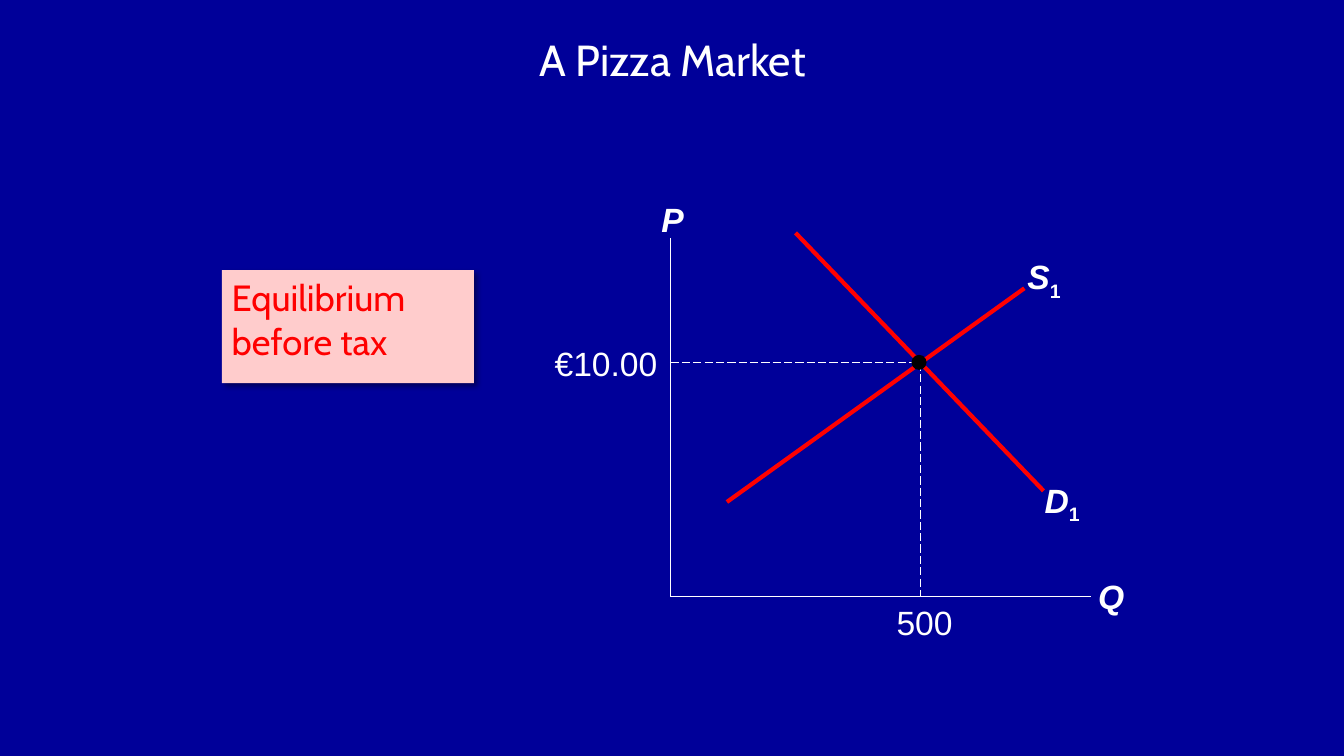
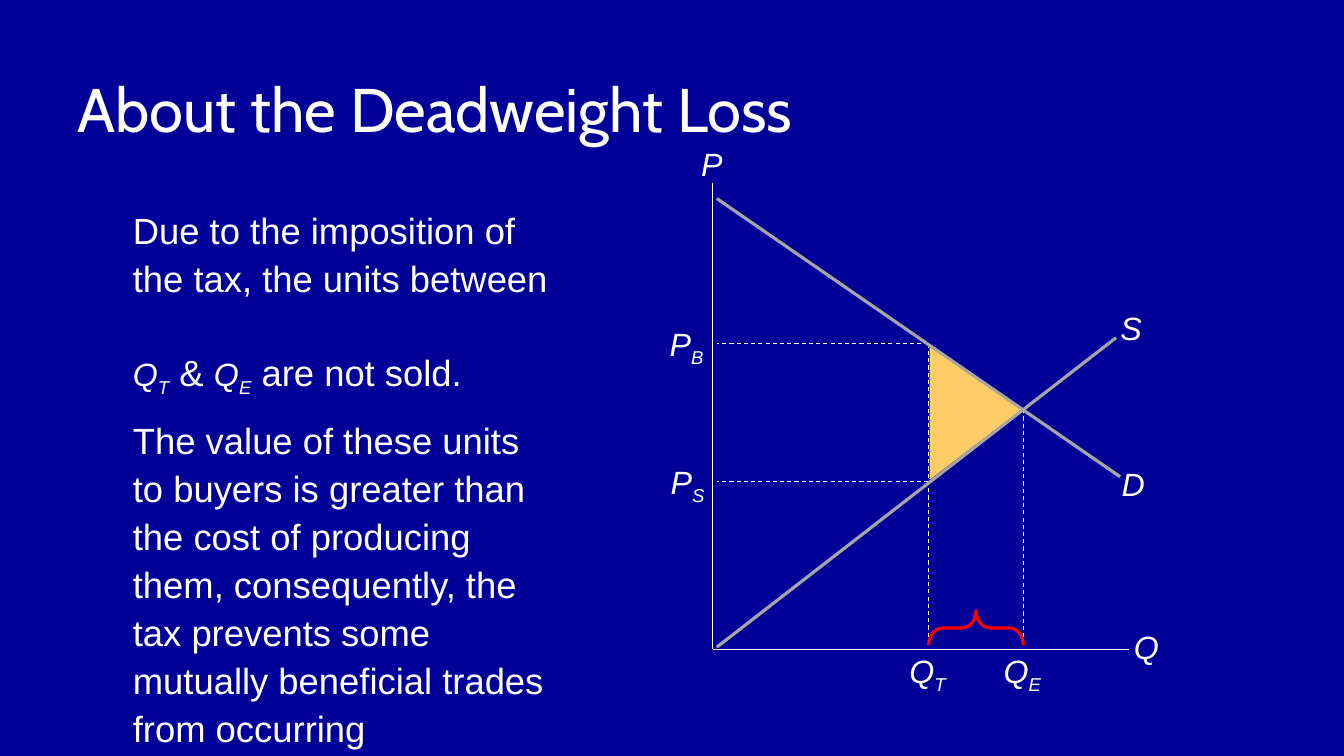
from dataclasses import dataclass

from lxml.etree import SubElement
from pptx import Presentation
from pptx.dml.color import RGBColor as RGB
from pptx.enum.dml import MSO_LINE_DASH_STYLE as DASH
from pptx.enum.shapes import MSO_CONNECTOR as CONN, MSO_SHAPE as SHAPE
from pptx.enum.text import MSO_ANCHOR as ANCHOR, MSO_AUTO_SIZE as FIT, PP_ALIGN as ALIGN
from pptx.oxml.ns import qn
from pptx.util import Inches, Pt


@dataclass(frozen=True)
class Theme:
    navy: str = "000099"
    white: str = "FFFFFF"
    black: str = "000000"
    red: str = "FF0000"
    pink: str = "FFCCCC"
    gray: str = "A6A6A6"
    amber: str = "FFCC66"
    head_font: str = "Cabin"
    body_font: str = "Arial"
    title_small: int = 31
    title_large: int = 44
    body: int = 26
    label_large: int = 24
    label: int = 23


T = Theme()


def text(p, txt, sub="", size=T.body, font=T.body_font, color=T.white,
         bold=False, italic=False, sub_italic=True, align=ALIGN.LEFT):
    p.alignment = align
    for part, slanted, base in ((txt, italic, 0), (sub, sub_italic, -25000)):
        if part:
            r = p.add_run()
            r.text = part
            r.font.name, r.font.size = font, Pt(size)
            r.font.bold, r.font.italic = bold, slanted
            r.font.color.rgb = RGB.from_string(color)
            if base:
                r._r.get_or_add_rPr().set("baseline", str(base))


def line(s, x1, y1, x2, y2, color=T.white, width=0.75, dash=None):
    c = s.shapes.add_connector(CONN.STRAIGHT, Inches(x1), Inches(y1), Inches(x2), Inches(y2))
    c.line.color.rgb = RGB.from_string(color)
    c.line.width = Pt(width)
    if dash:
        c.line.dash_style = dash
    SubElement(c._element.spPr, qn("a:effectLst"))


prs = Presentation()
prs.slide_width, prs.slide_height = Inches(13.33), Inches(7.5)
bg = prs.slide_master.background.fill
bg.solid()
bg.fore_color.rgb = RGB.from_string(T.navy)

titles = [
    ("A Pizza Market", (1.67, 0.23, 10, 0.71), T.title_small, ALIGN.CENTER),
    ("About the Deadweight Loss", (0.67, 0.32, 12, 1.51), T.title_large, ALIGN.LEFT),
]
slides = []
for txt, box, size, align in titles:
    s = prs.slides.add_slide(prs.slide_layouts[5])
    sp = s.shapes.title
    sp.left, sp.top, sp.width, sp.height = map(Inches, box)
    tf = sp.text_frame
    tf.word_wrap, tf.auto_size, tf.vertical_anchor = True, FIT.NONE, ANCHOR.MIDDLE
    text(tf.paragraphs[0], txt, size=size, font=T.head_font, align=align)
    slides.append(s)
pizza, loss = slides

note = pizza.shapes.add_shape(SHAPE.RECTANGLE, Inches(2.2), Inches(2.68), Inches(2.5), Inches(1.12))
note.fill.solid()
note.fill.fore_color.rgb = RGB.from_string(T.pink)
note.line.fill.background()
note.shadow.inherit = False
effects = note._element.spPr.find(qn("a:effectLst"))
shadow = SubElement(effects, qn("a:outerShdw"), blurRad=str(Pt(4)), dist=str(Pt(3)),
                    dir="2700000", algn="tl", rotWithShape="0")
tint = SubElement(shadow, qn("a:srgbClr"), val=T.black)
SubElement(tint, qn("a:alpha"), val="40000")
tf = note.text_frame
tf.word_wrap, tf.vertical_anchor = True, ANCHOR.TOP
text(tf.paragraphs[0], "Equilibrium before tax", font=T.head_font, color=T.red)

axis_x, axis_y, eq_x, eq_y = 6.65, 5.92, 9.13, 3.6
line(pizza, 7.21, 4.98, 10.16, 2.86, T.red, 3)
line(pizza, 7.89, 2.31, 10.35, 4.87, T.red, 3)
line(pizza, axis_x, 2.36, axis_x, axis_y, width=1)
line(pizza, axis_x, axis_y, 10.82, axis_y, width=1)
line(pizza, axis_x, eq_y, eq_x, eq_y, dash=DASH.LONG_DASH)
line(pizza, eq_x, eq_y, eq_x, axis_y, dash=DASH.LONG_DASH)
dot = pizza.shapes.add_shape(SHAPE.OVAL, Inches(9.04), Inches(3.52), Inches(0.15), Inches(0.15))
dot.fill.solid()
dot.fill.fore_color.rgb = RGB.from_string(T.black)
dot.line.fill.background()
dot.shadow.inherit = False

sp = loss.shapes.add_textbox(Inches(1.22), Inches(1.97), Inches(4.37), Inches(5.2))
tf = sp.text_frame
tf.word_wrap = True
paragraphs = [
    (0, [("Due to the imposition of the tax, the units between", "")]),
    (33, [("Q", "T"), (" & ", ""), ("Q", "E"), (" are not sold.", "")]),
    (11, [("The value of these units to buyers is greater than the cost of producing them, "
           "consequently, the tax prevents some mutually beneficial trades from occurring", "")]),
]
for i, (before, parts) in enumerate(paragraphs):
    p = tf.add_paragraph() if i else tf.paragraphs[0]
    p.line_spacing = 1.1
    if before:
        p.space_before = Pt(before)
    for txt, sub in parts:
        text(p, txt, sub, size=T.label if sub else T.body, italic=bool(sub))

wedge = loss.shapes.add_shape(SHAPE.ISOSCELES_TRIANGLE, Inches(9.01), Inches(3.64), Inches(1.33), Inches(0.91))
wedge.rotation = 90
wedge.adjustments[0] = 0.476
wedge.fill.solid()
wedge.fill.fore_color.rgb = RGB.from_string(T.amber)
wedge.line.fill.background()
wedge.shadow.inherit = False

axis_x, axis_y, curve_x, tax_x, eq_x = 7.07, 6.44, 7.11, 9.21, 10.15
line(loss, axis_x, 1.82, axis_x, axis_y)
line(loss, axis_x, axis_y, 11.2, axis_y)
for x, top in ((tax_x, 3.41), (eq_x, 4.06)):
    line(loss, x, top, x, 6.41, dash=DASH.DASH)
for y in (3.41, 4.78):
    line(loss, tax_x, y, curve_x, y, dash=DASH.DASH)
line(loss, curve_x, 1.97, 11.11, 4.73, T.gray, 2.25)
line(loss, curve_x, 6.42, 11.07, 3.35, T.gray, 2.25)

brace = loss.shapes.add_shape(SHAPE.LEFT_BRACE, Inches(9.51), Inches(5.76), Inches(0.34), Inches(0.94))
brace.rotation = 90
brace.adjustments[0], brace.adjustments[1] = 0.416, 0.5
brace.fill.background()
brace.line.color.rgb = RGB.from_string(T.red)
brace.line.width = Pt(2.25)
brace.shadow.inherit = False

curve = dict(size=T.label_large, bold=True, italic=True, sub_italic=False, align=ALIGN.CENTER)
value = dict(size=T.label_large)
plain = dict(size=T.label, italic=True, align=ALIGN.CENTER)
labels = [
    (pizza, 6.44, 1.97, 0.46, "P", "", curve),
    (pizza, 10.77, 5.71, 0.5, "Q", "", curve),
    (pizza, 10.02, 2.54, 0.67, "S", "1", curve),
    (pizza, 10.2, 4.76, 0.67, "D", "1", curve),
    (pizza, 5.37, 3.4, 1.15, "€10.00", "", dict(value, align=ALIGN.RIGHT)),
    (pizza, 8.85, 5.97, 0.64, "500", "", dict(value, align=ALIGN.CENTER)),
    (loss, 6.86, 1.43, 0.4, "P", "", plain),
    (loss, 11.17, 6.22, 0.4, "Q", "", plain),
    (loss, 11.04, 4.61, 0.4, "D", "", plain),
    (loss, 11.02, 3.06, 0.4, "S", "", plain),
    (loss, 6.52, 3.22, 0.58, "P", "B", plain),
    (loss, 6.53, 4.59, 0.58, "P", "S", plain),
    (loss, 8.88, 6.46, 0.64, "Q", "T", plain),
    (loss, 9.82, 6.46, 0.64, "Q", "E", plain),
]
for s, x, y, w, txt, sub, style in labels:
    sp = s.shapes.add_textbox(Inches(x), Inches(y), Inches(w), Inches(0.4))
    tf = sp.text_frame
    tf.word_wrap = True
    tf.margin_left = tf.margin_right = tf.margin_top = tf.margin_bottom = 0
    text(tf.paragraphs[0], txt, sub, **style)

prs.save("out.pptx")
